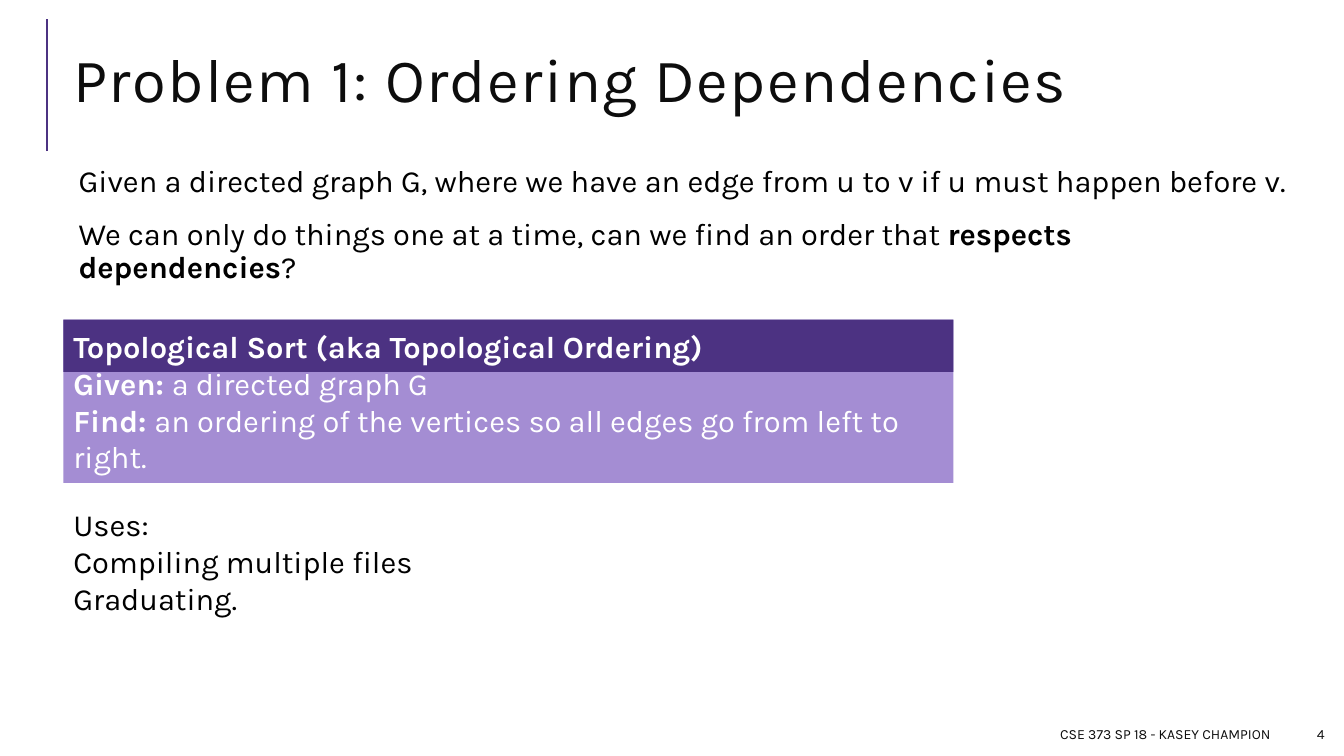
import pptx
import pptx.dml.color
import pptx.enum.shapes
import pptx.enum.text
import pptx.oxml.ns
import pptx.util
from lxml import etree

Pt = pptx.util.Pt
RGBColor = pptx.dml.color.RGBColor
ANCHOR = pptx.enum.text.MSO_ANCHOR
ALIGN = pptx.enum.text.PP_ALIGN

PURPLE = RGBColor(0x4C, 0x32, 0x82)
LILAC = RGBColor(0xA4, 0x8D, 0xD3)
WHITE = RGBColor(0xFF, 0xFF, 0xFF)
BLACK = RGBColor(0, 0, 0)
INK = RGBColor(0x0D, 0x0D, 0x0D)

LEFT = 45.36
INSETS = (7.2, 3.6, 7.2, 3.6)


class SlideBuilder:
    font = "Karla"
    body_size = 22

    def __init__(self, slide):
        self.slide = slide

    def fill_text(self, shape, paragraphs, size=body_size, color=BLACK, anchor=ANCHOR.TOP,
                  align=ALIGN.LEFT, insets=INSETS, line_spacing=None, before=0, after=0,
                  tracking=0):
        """Fill a shape; each paragraph is a list of (text, bold) runs."""
        frame = shape.text_frame
        frame.word_wrap = True
        frame.vertical_anchor = anchor
        (frame.margin_left, frame.margin_top,
         frame.margin_right, frame.margin_bottom) = map(Pt, insets)
        for index, runs in enumerate(paragraphs):
            paragraph = frame.add_paragraph() if index else frame.paragraphs[0]
            paragraph.alignment = align
            paragraph.line_spacing = line_spacing
            paragraph.space_before = Pt(before if index else 0)
            paragraph.space_after = Pt(after)
            paragraph.font.name = self.font
            paragraph.font.size = Pt(size)
            paragraph.font.color.rgb = color
            same_weight = len({bold for _, bold in runs}) == 1
            if same_weight:
                paragraph.font.bold = runs[0][1]
            for text, bold in runs:
                run = paragraph.add_run()
                run.text = text
                if not same_weight:
                    run.font.bold = bold
                if tracking:
                    run._r.get_or_add_rPr().set("spc", str(tracking * 100))

    def text(self, left, top, width, height, paragraphs, **style):
        box = self.slide.shapes.add_textbox(Pt(left), Pt(top), Pt(width), Pt(height))
        self.fill_text(box, paragraphs, **style)

    def panel(self, left, top, width, height, fill, paragraphs, **style):
        rectangle = self.slide.shapes.add_shape(
            pptx.enum.shapes.MSO_SHAPE.RECTANGLE, Pt(left), Pt(top), Pt(width), Pt(height))
        rectangle.shadow.inherit = False
        rectangle.fill.solid()
        rectangle.fill.fore_color.rgb = fill
        rectangle.line.fill.background()
        self.fill_text(rectangle, paragraphs, color=WHITE, anchor=ANCHOR.MIDDLE, **style)

    def line(self, x1, y1, x2, y2, color, width):
        rule = self.slide.shapes.add_connector(
            pptx.enum.shapes.MSO_CONNECTOR.STRAIGHT, Pt(x1), Pt(y1), Pt(x2), Pt(y2))
        rule.line.color.rgb = color
        rule.line.width = Pt(width)
        etree.SubElement(rule._element.spPr, pptx.oxml.ns.qn("a:effectLst"))


def main():
    deck = pptx.Presentation()
    deck.slide_width, deck.slide_height = Pt(960), Pt(540)
    builder = SlideBuilder(deck.slides.add_slide(deck.slide_layouts[6]))

    builder.line(33.84, 108, 33.84, 13.68, PURPLE, 1.5)
    builder.text(LEFT, 20.88, 880.56, 79.92, [[("Problem 1: Ordering Dependencies", False)]],
                 size=44, color=INK, anchor=ANCHOR.MIDDLE, line_spacing=0.8, tracking=1)

    builder.text(LEFT, 115.2, 880.56, 113.04, [
        [("Given a directed graph G, where we have an edge from u to v "
          "if u must happen before v.", False)],
        [("We can only do things one at a time, can we find an order that ", False),
         ("respects dependencies", True), ("?", False)],
    ], insets=(10.8, 3.6, 3.6, 3.6), line_spacing=0.9, before=12, after=2)

    for left, width, label in ((450, 464.4, "CSE 373 SP 18 - KASEY CHAMPION"),
                               (920.16, 33.12, "4")):
        builder.text(left, 513.36, width, 21.6, [[(label, False)]], size=10, color=INK,
                     anchor=ANCHOR.MIDDLE, align=ALIGN.RIGHT)

    panel_top, panel_width = 228.24, 635.76
    builder.panel(LEFT, panel_top, panel_width, 116.64, LILAC, [
        [("Given: ", True), ("a directed graph G", False)],
        [("Find: ", True),
         ("an ordering of the vertices so all edges go from left to right.", False)],
    ], insets=(7.2, 30, 7.2, 3.6))
    builder.panel(LEFT, panel_top, panel_width, 37.44, PURPLE,
                  [[("Topological Sort (aka Topological Ordering)", True)]])

    uses = ("Uses:", "Compiling multiple files", "Graduating.")
    builder.text(LEFT, 357.84, 869.76, 87.12, [[(use, False)] for use in uses])

    deck.save("out.pptx")


if __name__ == "__main__":
    main()
